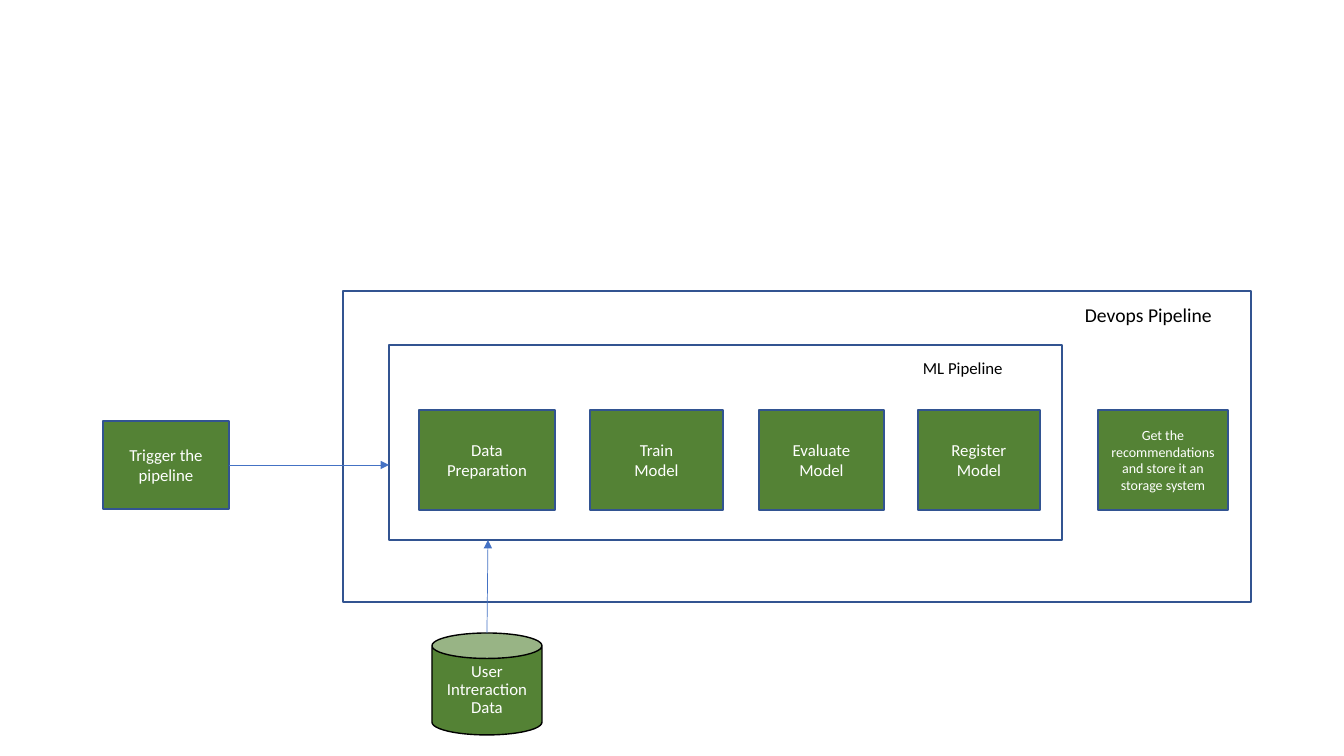
from lxml.etree import SubElement
from pptx import Presentation
from pptx.dml.color import RGBColor
from pptx.enum.shapes import MSO_CONNECTOR as Connector, MSO_SHAPE as Preset
from pptx.enum.text import MSO_ANCHOR as Anchor, PP_ALIGN as Align
from pptx.oxml.ns import qn
from pptx.util import Emu, Pt

PX_PER_INCH = 100.8
COLOURS = {
    "green": "548235",
    "outline": "325491",
    "arrow": "4472C4",
    "black": "000000",
    "white": "FFFFFF",
}
STAGE_TOP, STAGE_HEIGHT = 410, 100
STAGES = [
    (419, 136, "Data\nPreparation"),
    (590, 133, "Train\nModel"),
    (759, 125, "Evaluate Model"),
    (918, 122, "Register\nModel"),
]


def px(length):
    return Emu(round(length * 914400 / PX_PER_INCH))


def colour(name):
    return RGBColor.from_string(COLOURS[name])


def write_text(frame, text, size=12, ink="white", align=Align.CENTER,
               anchor=Anchor.MIDDLE, line_spacing=None, space_before=None):
    frame.word_wrap = True
    frame.vertical_anchor = anchor
    frame.text = text
    for para in frame.paragraphs:
        para.alignment = align
        para.line_spacing = line_spacing
        para.space_before = space_before
        for span in para.runs:
            span.font.name = "Calibri"
            span.font.size = Pt(size)
            span.font.color.rgb = colour(ink)


def add_box(page, left, top, width, height, preset=Preset.RECTANGLE,
            fill="green", line="outline"):
    box = page.shapes.add_shape(preset, px(left), px(top), px(width), px(height))
    box.shadow.inherit = False
    if fill:
        box.fill.solid()
        box.fill.fore_color.rgb = colour(fill)
    else:
        box.fill.background()
    box.line.color.rgb = colour(line)
    box.line.width = Pt(1)
    return box


def add_step(page, left, top, width, height, text, size=12):
    box = add_box(page, left, top, width, height)
    write_text(box.text_frame, text, size=size)
    return box


def add_label(page, left, top, width, height, text, size):
    label = page.shapes.add_textbox(px(left), px(top), px(width), px(height))
    write_text(label.text_frame, text, size=size, ink="black",
               align=Align.LEFT, anchor=Anchor.TOP)


def add_arrow(page, start_x, start_y, end_x, end_y):
    arrow = page.shapes.add_connector(
        Connector.STRAIGHT, px(start_x), px(start_y), px(end_x), px(end_y))
    arrow.line.color.rgb = colour("arrow")
    arrow.line.width = Pt(0.5)
    SubElement(arrow.line._get_or_add_ln(), qn("a:tailEnd"), type="triangle")
    SubElement(arrow._element.spPr, qn("a:effectLst"))
    return arrow


def main():
    deck = Presentation()
    deck.slide_width, deck.slide_height = px(1344), px(756)
    page = deck.slides.add_slide(deck.slide_layouts[6])

    store = add_box(page, 432, 633, 110, 102, preset=Preset.CAN, line="black")
    write_text(store.text_frame, "User Intreraction Data",
               line_spacing=0.9, space_before=Pt(10))

    add_box(page, 343, 291, 908, 311, fill=None)
    add_label(page, 1075, 298, 203, 34, "Devops Pipeline", 14)
    add_box(page, 389, 345, 673, 195, fill=None)
    add_label(page, 913, 353, 144, 30, "ML Pipeline", 12)

    for left, width, text in STAGES:
        add_step(page, left, STAGE_TOP, width, STAGE_HEIGHT, text)
    add_step(page, 1098, STAGE_TOP, 130, STAGE_HEIGHT,
             "Get the recommendations and store it an storage system", size=10)

    trigger = add_step(page, 103, 421, 126, 88, "Trigger the pipeline")
    add_arrow(page, 229, 465, 389, 465).begin_connect(trigger, 3)
    add_arrow(page, 487, 633, 488, 540)

    deck.save("out.pptx")


if __name__ == "__main__":
    main()
